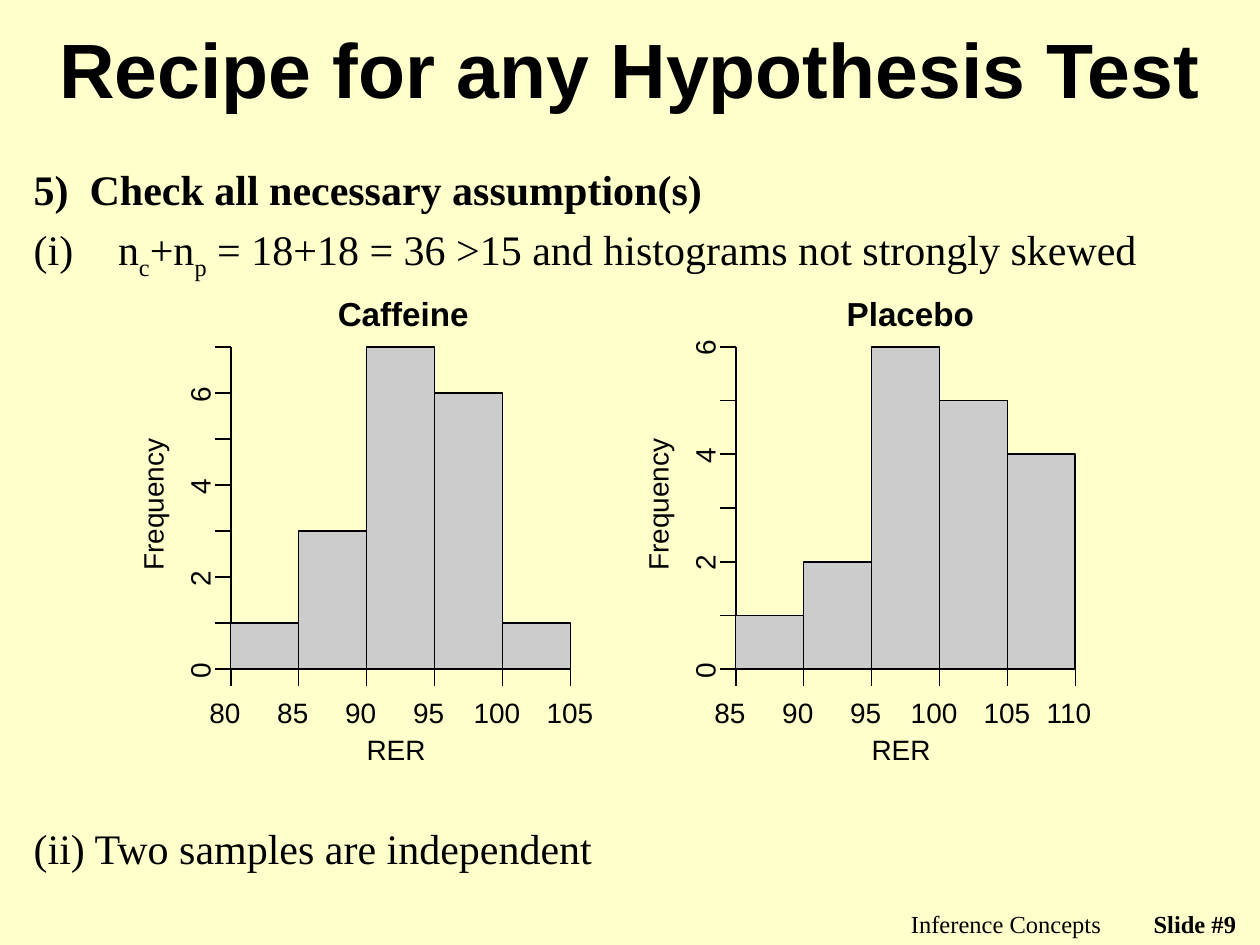
from dataclasses import dataclass
from lxml.etree import SubElement
from pptx import Presentation
from pptx.dml.color import RGBColor
from pptx.enum.shapes import MSO_CONNECTOR, MSO_SHAPE
from pptx.enum.text import MSO_ANCHOR, PP_ALIGN
from pptx.oxml.ns import qn
from pptx.util import Cm, Pt

BLACK, GREY, CREAM = "000000", "CCCCCC", "FFFFCC"
SANS, SERIF = "Arial", "Times New Roman"
BASE, TALL, BIN = 13.49, 6.5, 1.37  # axis level, axis height, bin width (cm)


@dataclass
class Plot:
    """One histogram: title, axis position, title offset, first bin edge, counts."""
    title: str
    left: float
    shift: float
    start: int
    counts: list[int]


PLOTS = [
    Plot("Caffeine", 4.65, 2.16, 80, [1, 3, 7, 6, 1]),
    Plot("Placebo", 14.83, 2.24, 85, [1, 2, 6, 5, 4]),
]

deck = Presentation()
deck.slide_width, deck.slide_height = Cm(25.4), Cm(19.05)
slide = deck.slides.add_slide(deck.slide_layouts[6])


def paint(color, code: str) -> None:
    """Set a colour format from a hex string."""
    color.rgb = RGBColor.from_string(code)


def style(run, size: float, font: str, bold: bool = False) -> None:
    """Format one run in black."""
    run.font.size, run.font.name, run.font.bold = Pt(size), font, bold
    paint(run.font.color, BLACK)


def write(words: str, x: float, y: float, w: float, h: float, size: float,
          font: str, bold: bool = False, align=PP_ALIGN.LEFT):
    """Add a text box with one formatted paragraph."""
    box = slide.shapes.add_textbox(Cm(x), Cm(y), Cm(w), Cm(h))
    frame = box.text_frame
    frame.word_wrap = True
    frame.text = words
    frame.paragraphs[0].alignment = align
    style(frame.paragraphs[0].runs[0], size, font, bold)
    return box


def label(words: str, x: float, y: float, w: float, size: float = 16,
          bold: bool = False, turn: int = 0) -> None:
    """Add a chart label without margins, turned if asked."""
    box = write(words, x, y, w, 0.71, size, SANS, bold)
    frame = box.text_frame
    frame.margin_left = frame.margin_right = 0
    frame.margin_top = frame.margin_bottom = 0
    box.rotation = turn


def rule(x: float, y: float, to_x: float, to_y: float) -> None:
    """Draw a thin black line."""
    line = slide.shapes.add_connector(
        MSO_CONNECTOR.STRAIGHT, Cm(x), Cm(y), Cm(to_x), Cm(to_y))
    line.line.width = Pt(1)
    paint(line.line.color, BLACK)
    SubElement(line._element.spPr, qn("a:effectLst"))


def bar(x: float, high: float) -> None:
    """Draw one bar standing on the base line."""
    box = slide.shapes.add_shape(
        MSO_SHAPE.RECTANGLE, Cm(x), Cm(BASE - high), Cm(BIN), Cm(high))
    box.shadow.inherit = False
    box.fill.solid()
    paint(box.fill.fore_color, GREY)
    box.line.width = Pt(1)
    paint(box.line.color, BLACK)


def draw(plot: Plot) -> None:
    """Draw a histogram with its axes and labels."""
    left, top = plot.left, max(plot.counts)
    step = TALL / top
    label(plot.title, left + plot.shift, 5.92, 3.02, 19, True)
    label("RER", left + 2.74, 14.76, 1.4)
    label("Frequency", left - 2.93, 9.78, 2.74, turn=270)

    rule(left, BASE, left + BIN * len(plot.counts), BASE)
    for i in range(len(plot.counts) + 1):
        x, edge = left + BIN * i, plot.start + 5 * i
        rule(x, BASE, x, BASE + 0.33)
        shift = 0.43 if edge < 100 else 0.48 if edge == 105 else 0.58
        label(str(edge), x - shift, 14.02, 0.86 if edge < 100 else 1.17)

    rule(left, BASE, left, BASE - TALL)
    for count in range(top + 1):
        y = BASE - step * count
        rule(left, y, left - 0.31, y)
        if count % 2 == 0:
            label(str(count), left - 0.89, y - 0.45, 0.56, turn=270)

    for i, count in enumerate(plot.counts):
        bar(left + BIN * i, step * count)


def check() -> None:
    """Write the list of assumptions."""
    box = write("5)  Check all necessary assumption(s)",
                0.43, 3.18, 24.33, 2.6, 24, SERIF, True)
    para = box.text_frame.add_paragraph()
    for words, low in [("n", False), ("c", True), ("+n", False), ("p", True),
                       (" = 18+18 = 36 >15 and histograms not strongly skewed", False)]:
        run = para.add_run()
        run.text = words
        style(run, 24, SERIF)
        if low:
            run.font._element.set("baseline", "-25000")
    for item in box.text_frame.paragraphs:
        item.space_before = Pt(5.5)
        props = item._p.get_or_add_pPr()
        props.set("marL", str(Cm(1.7)))
        props.set("indent", str(Cm(-1.7)))
    SubElement(para._p.pPr, qn("a:buAutoNum"), type="romanLcParenBoth")
    write("(ii) Two samples are independent", 0.43, 16.45, 24.33, 1.3, 24, SERIF)


slide.background.fill.solid()
paint(slide.background.fill.fore_color, CREAM)
write("Inference Concepts", 14.4, 18.21, 8.05, 0.64, 14, SERIF, align=PP_ALIGN.RIGHT)
write("Slide #9", 22.43, 18.21, 2.74, 0.43, 14, SERIF, True, PP_ALIGN.RIGHT)
title = write("Recipe for any Hypothesis Test", 0.64, 0.2, 24.13, 2.34,
              44, SANS, True, PP_ALIGN.CENTER)
title.text_frame.vertical_anchor = MSO_ANCHOR.MIDDLE
check()
for plot in PLOTS:
    draw(plot)
deck.save("out.pptx")
